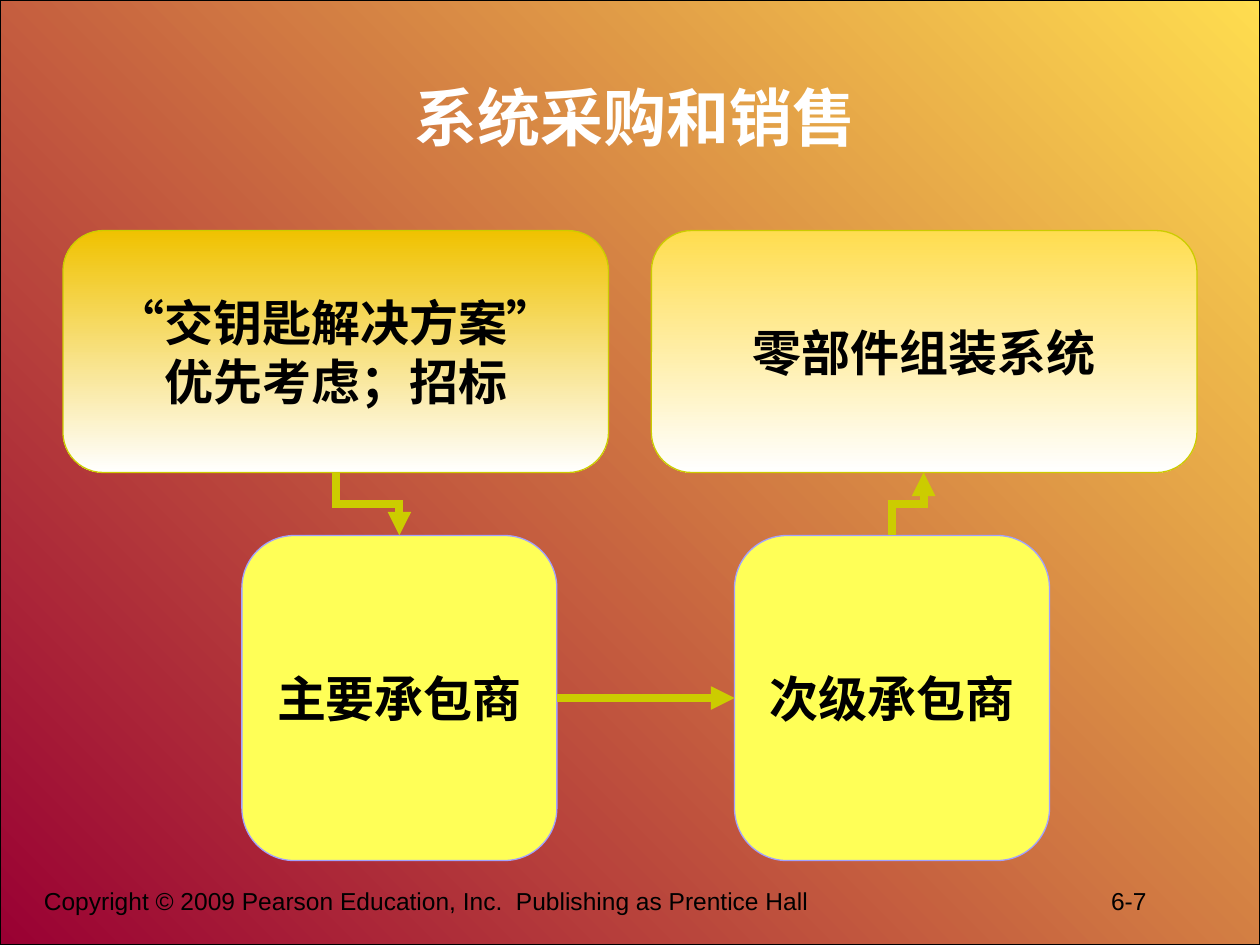
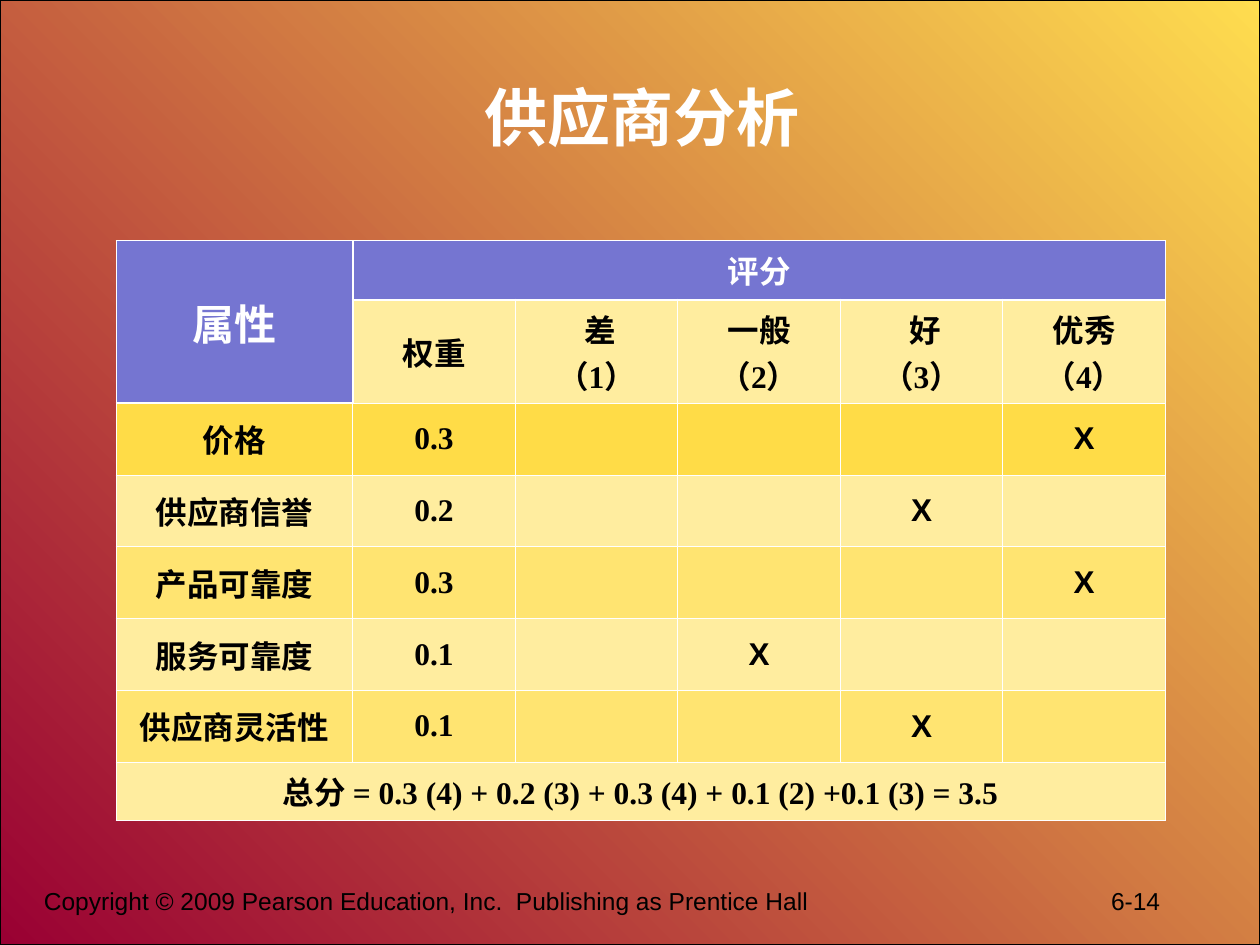
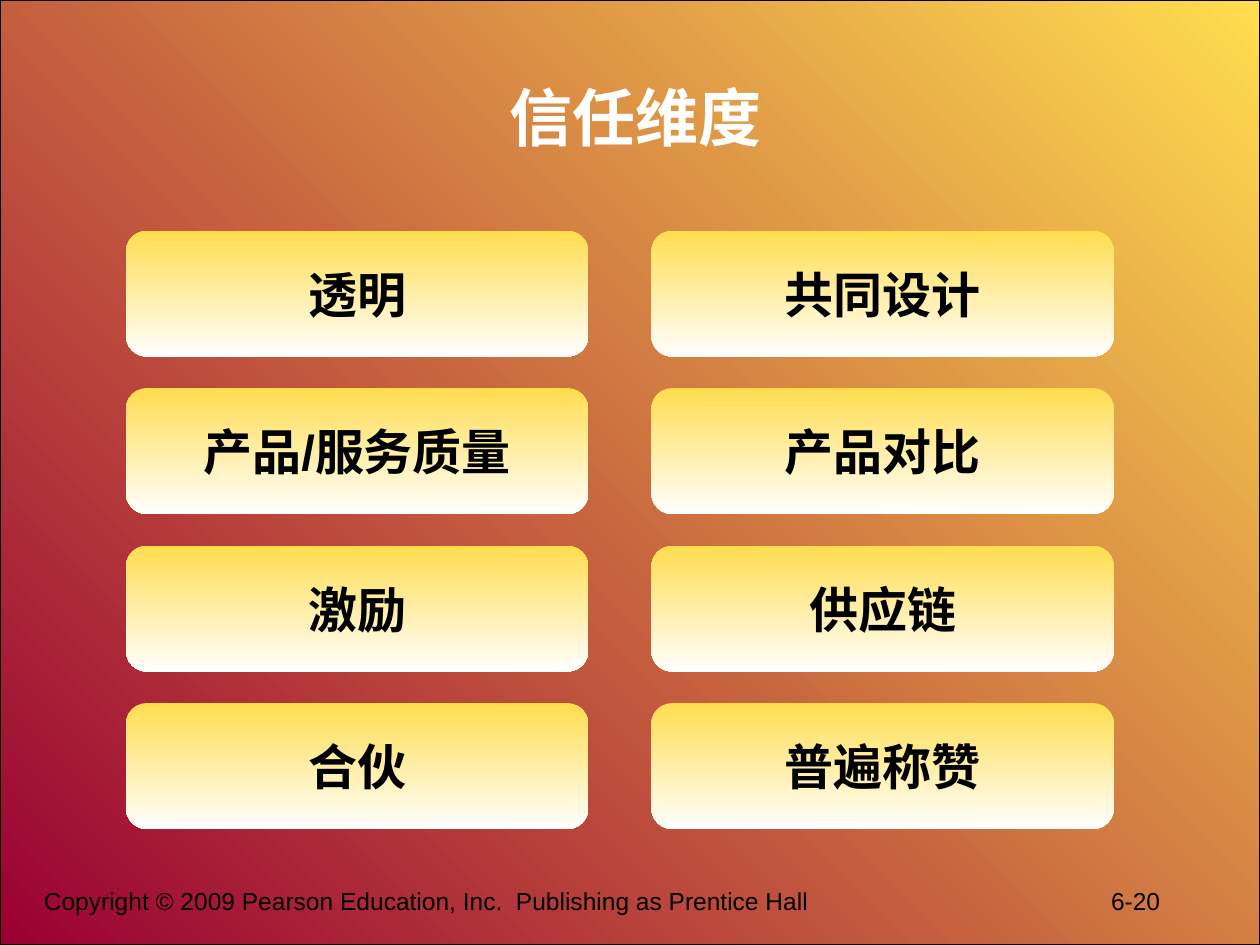
"""Build three slides on system buying, supplier analysis and dimensions of trust."""
from dataclasses import dataclass

from lxml import etree
from pptx import Presentation
from pptx.dml.color import RGBColor
from pptx.enum.shapes import MSO_CONNECTOR, MSO_SHAPE
from pptx.enum.text import MSO_ANCHOR, PP_ALIGN
from pptx.oxml.ns import qn
from pptx.util import Inches, Pt

RECTANGLE = MSO_SHAPE.RECTANGLE
ROUNDED = MSO_SHAPE.ROUNDED_RECTANGLE
STRAIGHT = MSO_CONNECTOR.STRAIGHT
ELBOW = MSO_CONNECTOR.ELBOW
CENTER = PP_ALIGN.CENTER
LEFT = PP_ALIGN.LEFT
MIDDLE = MSO_ANCHOR.MIDDLE
TOP = MSO_ANCHOR.TOP
LEFT_SITE, RIGHT_SITE = 1, 3


@dataclass(frozen=True)
class Theme:
    """Colours, fonts and type sizes shared by the slides."""
    black: str = "000000"
    white: str = "FFFFFF"
    crimson: str = "990033"
    gold: str = "FFDD4F"
    dark_gold: str = "F0C200"
    olive: str = "CCCC00"
    yellow: str = "FFFF57"
    lilac: str = "A1A1FF"
    heading: str = "7575D1"
    first_band: str = "FFDC47"
    light_band: str = "FFED9F"
    dark_band: str = "FFE471"
    sans: str = "Arial"
    serif: str = "Times New Roman"
    chinese: str = "Noto Sans CJK SC"
    title_size: int = 36
    box_size: int = 28
    corner_size: int = 24
    table_size: int = 18
    footer_size: int = 14
    thin: float = 0.75
    arrow: float = 4.5
    cell_line: float = 0.45
    heading_line: float = 1.47


theme = Theme()


def write_text(text_frame, text, size, color, font, bold=True, alignment=CENTER):
    """Fill a text frame and format every run."""
    text_frame.text = text
    for paragraph in text_frame.paragraphs:
        paragraph.alignment = alignment
        for run in paragraph.runs:
            run.font.size = Pt(size)
            run.font.bold = bold
            run.font.name = font
            run.font.color.rgb = RGBColor.from_string(color)
            east_asian = etree.SubElement(run.font._element, qn("a:ea"))
            east_asian.set("typeface", theme.chinese)


def add_box(slide, kind, box, colors, line=None, angle=270, text=""):
    """Add a shape with a plain or two-colour fill and optional centred text."""
    shape = slide.shapes.add_shape(kind, *map(Inches, box))
    shape.shadow.inherit = False
    if len(colors) == 1:
        shape.fill.solid()
        shape.fill.fore_color.rgb = RGBColor.from_string(colors[0])
    else:
        shape.fill.gradient()
        shape.fill.gradient_angle = angle
        for stop, color in zip(shape.fill.gradient_stops, colors):
            stop.color.rgb = RGBColor.from_string(color)
    if line:
        shape.line.color.rgb = RGBColor.from_string(line)
        shape.line.width = Pt(theme.thin)
    else:
        shape.line.fill.background()
    if text:
        shape.text_frame.word_wrap = False
        shape.text_frame.vertical_anchor = MIDDLE
        write_text(shape.text_frame, text, theme.box_size, theme.black, theme.sans)
    return shape


presentation = Presentation()
presentation.slide_width = Inches(10)
presentation.slide_height = Inches(7.5)
blank_layout = presentation.slide_layouts[6]

slides = []
for title, page in (("系统采购和销售", "6-7"), (" 供应商分析", "6-14"), ("信任维度", "6-20")):
    slide = presentation.slides.add_slide(blank_layout)
    add_box(slide, RECTANGLE, (0, 0, 10, 7.5), (theme.gold, theme.crimson), theme.black, 225)

    footer = slide.shapes.add_textbox(Inches(0.25), Inches(6.98), Inches(9.33), Inches(0.52))
    footer.text_frame.word_wrap = True
    write_text(footer.text_frame,
               f"Copyright © 2009 Pearson Education, Inc.  Publishing as Prentice Hall\t{page}",
               theme.footer_size, theme.black, theme.sans, False, LEFT)
    properties = footer.text_frame.paragraphs[0]._p.get_or_add_pPr()
    tab = etree.SubElement(etree.SubElement(properties, qn("a:tabLst")), qn("a:tab"))
    tab.set("pos", str(Inches(8.47)))
    tab.set("algn", "l")

    heading = slide.shapes.add_textbox(Inches(0.83), Inches(0.3), Inches(8.42), Inches(1.25))
    heading.text_frame.word_wrap = True
    heading.text_frame.vertical_anchor = MIDDLE
    write_text(heading.text_frame, title, theme.title_size, theme.white, theme.chinese)
    slides.append(slide)

buying_slide, supplier_slide, trust_slide = slides

contractors = []
for left, upper_left, upper_color, upper_text, contractor_text in (
        (1.92, 0.5, theme.dark_gold, "“交钥匙解决方案”\n优先考虑；招标", "主要承包商"),
        (5.83, 5.17, theme.gold, "零部件组装系统", "次级承包商")):
    add_box(buying_slide, ROUNDED, (upper_left, 1.83, 4.33, 1.92),
            (upper_color, theme.white), theme.olive, text=upper_text)
    contractors.append(add_box(buying_slide, ROUNDED, (left, 4.25, 2.5, 2.58),
                               (theme.yellow,), theme.lilac, text=contractor_text))

main_contractor, sub_contractor = contractors
straight_arrow = buying_slide.shapes.add_connector(STRAIGHT, 0, 0, 0, 0)
straight_arrow.begin_connect(main_contractor, RIGHT_SITE)
straight_arrow.end_connect(sub_contractor, LEFT_SITE)
arrows = [straight_arrow]

for begin_x, begin_y, end_x, end_y, rotation, flips in (
        (2.67, 3.75, 3.17, 4.25, 270, ("flipH",)),
        (7.08, 4.25, 7.33, 3.75, 90, ("flipH", "flipV"))):
    run_length, rise = abs(end_x - begin_x), abs(end_y - begin_y)
    elbow = buying_slide.shapes.add_connector(ELBOW, 0, 0, 0, 0)
    elbow.left = Inches((begin_x + end_x - rise) / 2)
    elbow.top = Inches((begin_y + end_y - run_length) / 2)
    elbow.width, elbow.height = Inches(rise), Inches(run_length)
    transform = elbow._element.spPr.find(qn("a:xfrm"))
    transform.set("rot", str(rotation * 60000))
    for flip in flips:
        transform.set(flip, "1")
    arrows.append(elbow)

for arrow in arrows:
    arrow.line.color.rgb = RGBColor.from_string(theme.olive)
    arrow.line.width = Pt(theme.arrow)
    shape_properties = arrow._element.spPr
    line_properties = shape_properties.find(qn("a:ln"))
    etree.SubElement(line_properties, qn("a:miter")).set("lim", "800000")
    etree.SubElement(line_properties, qn("a:tailEnd")).set("type", "triangle")
    etree.SubElement(shape_properties, qn("a:effectLst"))

rows = (
    ("属性", "评分", "", "", "", ""),
    ("", "权重", " 差\n（1）", "一般（2）", " 好\n（3）", "优秀\n（4）"),
    ("价格", "0.3", "", "", "", "X"),
    ("供应商信誉", "0.2", "", "", "X", ""),
    ("产品可靠度", "0.3", "", "", "", "X"),
    ("服务可靠度", "0.1", "", "X", "", ""),
    ("供应商灵活性", "0.1", "", "", "X", ""),
    ("总分 = 0.3 (4) + 0.2 (3) + 0.3 (4) + 0.1 (2) +0.1 (3) = 3.5", "", "", "", "", ""),
)
row_heights = [0.47, 0.82] + [0.57] * 5 + [0.46]
column_widths = [1.88] + [1.29] * 5
row_fills = (theme.heading, theme.light_band, theme.first_band, theme.light_band,
             theme.dark_band, theme.light_band, theme.dark_band, theme.light_band)
table = supplier_slide.shapes.add_table(
    len(rows), len(column_widths), Inches(0.92), Inches(1.91),
    Inches(sum(column_widths)), Inches(sum(row_heights))).table
table.first_row = False
table.horz_banding = False
for column, width in zip(table.columns, column_widths):
    column.width = Inches(width)
for table_row, height in zip(table.rows, row_heights):
    table_row.height = Inches(height)
table.cell(0, 0).merge(table.cell(1, 0))
table.cell(0, 1).merge(table.cell(0, 5))
table.cell(7, 0).merge(table.cell(7, 5))

for row, texts in enumerate(rows):
    for column, text in enumerate(texts):
        cell = table.cell(row, column)
        is_corner = row < 2 and column == 0
        is_heading = row == 0 or is_corner
        heavy_sides = {
            "L": row < 2 and column == 1,
            "R": is_corner,
            "T": row == (2 if column == 0 else 1),
            "B": is_heading,
        }
        cell_properties = cell._tc.get_or_add_tcPr()
        for side, is_heavy in heavy_sides.items():
            border = etree.SubElement(cell_properties, qn(f"a:ln{side}"))
            border.set("w", str(Pt(theme.heading_line if is_heavy else theme.cell_line)))
            border_fill = etree.SubElement(border, qn("a:solidFill"))
            etree.SubElement(border_fill, qn("a:srgbClr")).set("val", theme.white)
        cell.fill.solid()
        cell.fill.fore_color.rgb = RGBColor.from_string(
            theme.heading if is_heading else row_fills[row])
        cell.vertical_anchor = TOP if row == 0 and column else MIDDLE
        if text:
            write_text(cell.text_frame, text,
                       theme.corner_size if is_corner else theme.table_size,
                       theme.white if is_heading else theme.black,
                       theme.sans if text == "X" else theme.serif)

trust_columns = (
    ("透明", "产品/服务质量", "激励", "合伙"),
    ("共同设计", "产品对比", "供应链", "普遍称赞"),
)
for column, dimensions in enumerate(trust_columns):
    for row, dimension in enumerate(dimensions):
        add_box(trust_slide, ROUNDED, (1 + 4.17 * column, 1.83 + 1.25 * row, 3.67, 1),
                (theme.gold, theme.white), text=dimension)

presentation.save("out.pptx")
